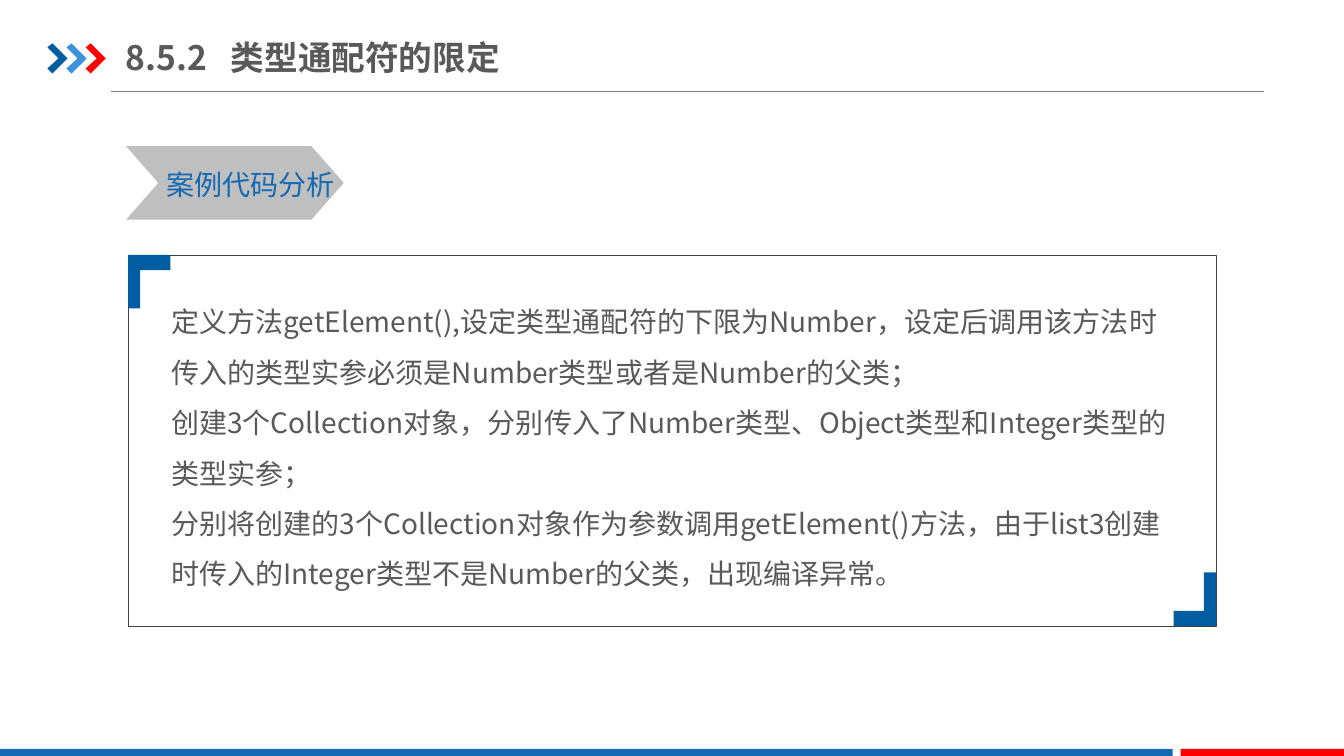
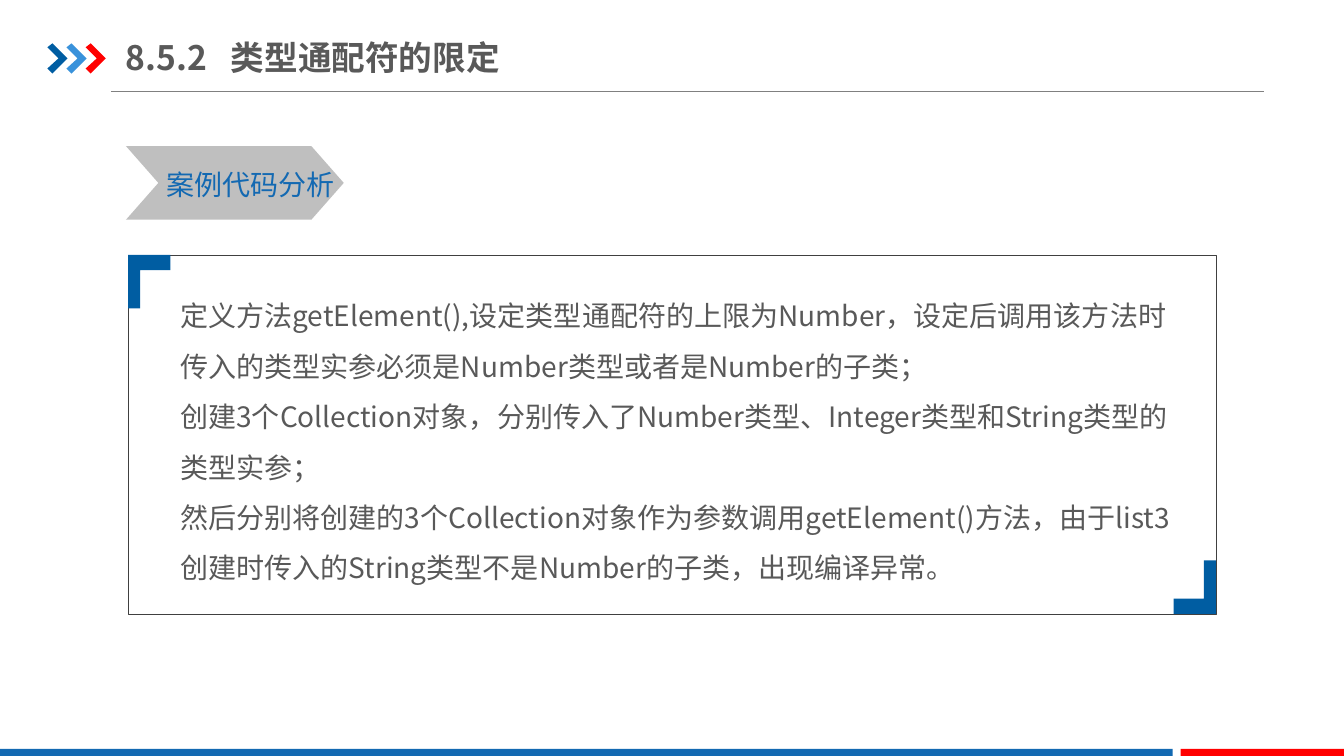
import pptx
import pptx.dml.color
import pptx.enum.shapes
import pptx.enum.text
import pptx.oxml
import pptx.oxml.ns
import pptx.util
import lxml.etree

SCALE = 9144
SHAPES = pptx.enum.shapes.MSO_SHAPE
ANCHORS = pptx.enum.text.MSO_ANCHOR


def px(length):
    return pptx.util.Emu(length * SCALE)


def rgb(color):
    return pptx.dml.color.RGBColor.from_string(color)


def add_element(parent, tag, **attributes):
    name = pptx.oxml.ns.qn(tag)
    return lxml.etree.SubElement(parent, name, attributes)


def write_text(box, text, size=20, color="595959", bold=False, spacing=None,
               tab=None, font="Noto Sans CJK SC"):
    frame = box.text_frame
    for index, line in enumerate(text.split("\n")):
        para = frame.add_paragraph() if index else frame.paragraphs[0]
        if spacing:
            para.line_spacing = spacing
        if tab:
            stops = add_element(para._p.get_or_add_pPr(), "a:tabLst")
            add_element(stops, "a:tab", pos=str(px(tab)), algn="l")
        span = para.add_run()
        span.text = line
        span.font.size = pptx.util.Pt(size)
        span.font.bold = bold
        span.font.color.rgb = rgb(color)
        span.font.name = font
        add_element(span._r.get_or_add_rPr(), "a:ea", typeface=font)


class Lecture:
    BLUE = "1369B2"
    DARK_BLUE = "005DA2"
    LIGHT_BLUE = "3992DB"
    RED = "FF0000"
    SILVER = "BFBFBF"
    RULE = "808080"
    BORDER = "404040"

    def __init__(self):
        self.deck = pptx.Presentation()
        self.deck.slide_width = px(1333)
        self.deck.slide_height = px(750)
        self.page = None

    def paint(self, shape, fill=None, line=None, width=0.25):
        shape.shadow.inherit = False
        if fill:
            shape.fill.solid()
            shape.fill.fore_color.rgb = rgb(fill)
        else:
            shape.fill.background()
        if line:
            shape.line.color.rgb = rgb(line)
            shape.line.width = pptx.util.Pt(width)
        else:
            shape.line.fill.background()

    def shape(self, kind, left, top, width, height, adjust=None, **style):
        shape = self.page.shapes.add_shape(
            kind, px(left), px(top), px(width), px(height))
        if adjust is not None:
            shape.adjustments[0] = adjust
        self.paint(shape, **style)

    def outline(self, points, fill):
        builder = self.page.shapes.build_freeform(*points[0], scale=SCALE)
        builder.add_line_segments(points[1:], close=True)
        self.paint(builder.convert_to_shape(), fill)

    def rule(self, left, right, top):
        line = self.page.shapes.add_connector(
            pptx.enum.shapes.MSO_CONNECTOR.STRAIGHT,
            px(left), px(top), px(right), px(top))
        line.line.color.rgb = rgb(self.RULE)
        line.line.width = pptx.util.Pt(0.75)
        add_element(line._element.spPr, "a:effectLst")

    def text(self, left, top, width, height, text, anchor=ANCHORS.TOP,
             wrap=True, insets=(10, 5), **style):
        box = self.page.shapes.add_textbox(
            px(left), px(top), px(width), px(height))
        frame = box.text_frame
        frame.word_wrap = wrap
        frame.vertical_anchor = anchor
        frame.margin_left = frame.margin_right = px(insets[0])
        frame.margin_top = frame.margin_bottom = px(insets[1])
        write_text(box, text, **style)

    def arrowhead(self, left, top, color):
        steps = [(0, 4), (5, 0), (20, 15), (5, 30), (0, 25), (11, 15)]
        self.outline([(left + x, top + y) for x, y in steps], color)

    def bracket(self, corner_x, corner_y, direction):
        steps = [(0, 0), (42, 0), (42, 15), (12, 15), (12, 53), (0, 53)]
        self.outline([(corner_x + direction * x, corner_y + direction * y)
                      for x, y in steps], self.DARK_BLUE)

    def start_page(self, title):
        self.page = self.deck.slides.add_slide(self.deck.slide_layouts[6])
        self.rule(110, 1254, 91)
        colors = (self.DARK_BLUE, self.LIGHT_BLUE, self.RED)
        for index, color in enumerate(colors):
            self.arrowhead(47 + 19 * index, 43, color)
        self.shape(SHAPES.RECTANGLE, 0, 743, 1163, 9, fill=self.BLUE)
        self.shape(SHAPES.RECTANGLE, 1171, 743, 163, 9, fill=self.RED)
        self.text(125, 29, 426, 55, title, anchor=ANCHORS.MIDDLE,
                  insets=(0, 7), size=24, bold=True, tab=104)

    def section_label(self, text):
        self.shape(SHAPES.CHEVRON, 125, 145, 216, 73, adjust=0.44,
                   fill=self.SILVER)
        self.text(155, 161, 187, 44, text, wrap=False, color=self.BLUE)

    def framed_text(self, text, text_left, text_top, frame_height):
        left, top, width = 127, 253, 1079
        self.text(text_left, text_top, 1013, 313, text, spacing=1.5)
        self.shape(SHAPES.ROUNDED_RECTANGLE, left, top, width, frame_height,
                   adjust=0, line=self.BORDER)
        self.bracket(left, top, 1)
        self.bracket(left + width, top + frame_height, -1)


LOWER_BOUND = """定义方法getElement(),设定类型通配符的下限为Number，设定后调用该方法时传入的类型实参必须是Number类型或者是Number的父类；
创建3个Collection对象，分别传入了Number类型、Object类型和Integer类型的类型实参；
分别将创建的3个Collection对象作为参数调用getElement()方法，由于list3创建时传入的Integer类型不是Number的父类，出现编译异常。"""

UPPER_BOUND = """定义方法getElement(),设定类型通配符的上限为Number，设定后调用该方法时传入的类型实参必须是Number类型或者是Number的子类；
创建3个Collection对象，分别传入了Number类型、Integer类型和String类型的类型实参；
然后分别将创建的3个Collection对象作为参数调用getElement()方法，由于list3创建时传入的String类型不是Number的子类，出现编译异常。"""


def main():
    lecture = Lecture()
    analyses = [(LOWER_BOUND, 160, 281, 368), (UPPER_BOUND, 169, 275, 356)]
    for analysis in analyses:
        lecture.start_page("8.5.2\t类型通配符的限定")
        lecture.section_label("案例代码分析")
        lecture.framed_text(*analysis)
    lecture.deck.save("out.pptx")


if __name__ == "__main__":
    main()
